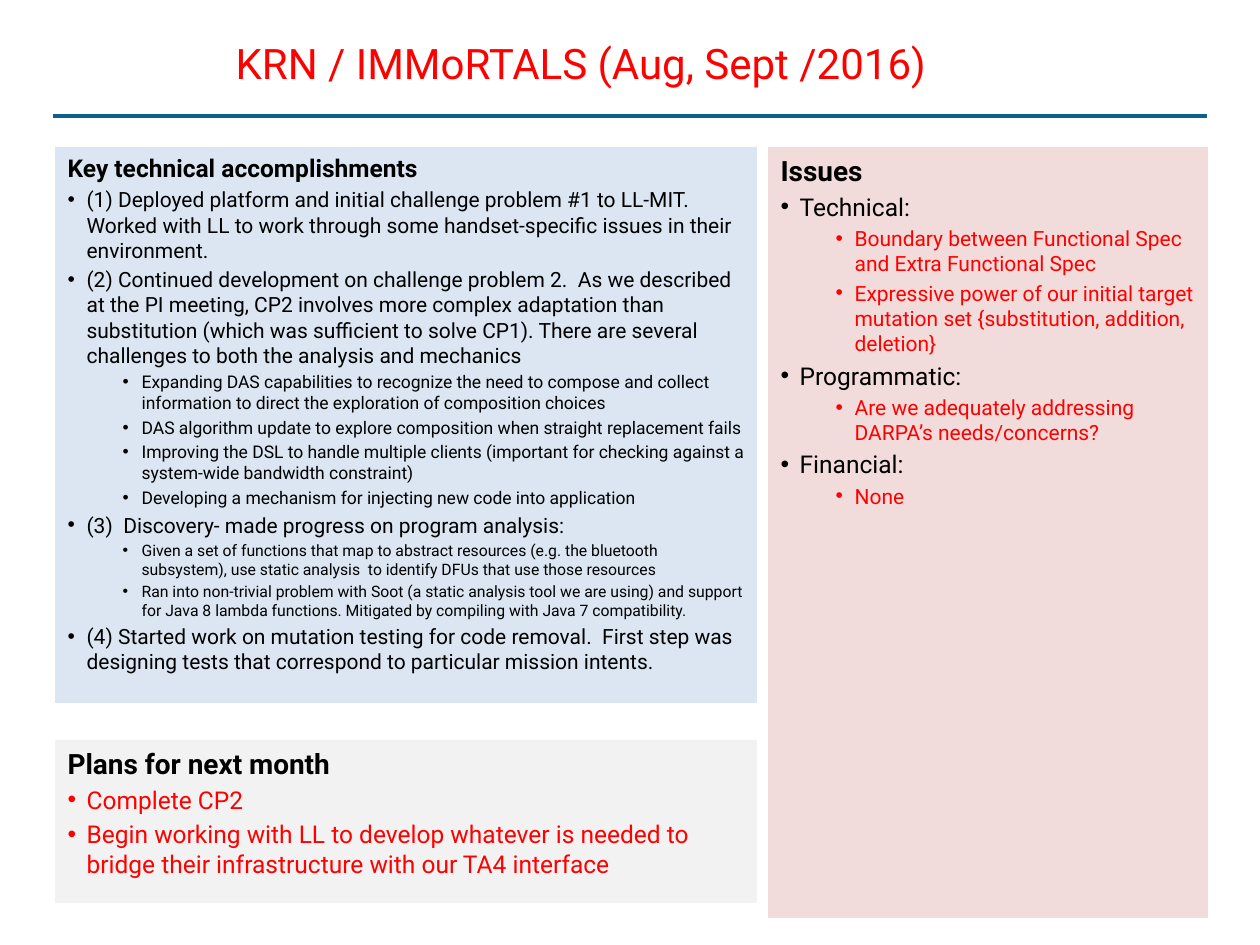
from lxml import etree
from pptx import Presentation
from pptx import util as u
from pptx.dml.color import RGBColor
from pptx.enum import shapes, text
from pptx.oxml.ns import qn

EMU_PER_PX = 914400 / 126
FONT = "Roboto"
COLOURS = {
    "rule": "0F5E90",
    "blue": "DCE6F2",
    "pink": "F2DCDB",
    "grey": "F2F2F2",
    "black": "000000",
    "red": "FF0000",
}
TEXT_INDENTS = [19, 74]  # left margin of each bullet level
HANGING = 19
LEFT, TOP, LEFT_WIDTH = 55, 147, 702

# Bullets are (level, point size, colour, wording).
ACCOMPLISHMENTS = [
    (0, 12, "black", "(1) Deployed platform and initial challenge problem #1 to LL-MIT.  "
     "Worked with LL to work through some handset-specific issues in their environment."),
    (0, 12, "black", "(2) Continued development on challenge problem 2.  As we described at the "
     "PI meeting, CP2 involves more complex adaptation than substitution (which was sufficient "
     "to solve CP1). There are several challenges to both the analysis and mechanics"),
    (1, 10, "black", "Expanding DAS capabilities to recognize the need to compose and collect "
     "information to direct the exploration of composition choices"),
    (1, 10, "black", "DAS algorithm update to explore composition when straight replacement fails"),
    (1, 10, "black", "Improving the DSL to handle multiple clients (important for checking against "
     "a system-wide bandwidth constraint)"),
    (1, 10, "black", "Developing a mechanism for injecting new code into application"),
    (0, 12, "black", "(3)  Discovery- made progress on program analysis:"),
    (1, 9, "black", "Given a set of functions that map to abstract resources (e.g. the bluetooth "
     "subsystem), use static analysis  to identify DFUs that use those resources"),
    (1, 9, "black", "Ran into non-trivial problem with Soot (a static analysis tool we are using) "
     "and support for Java 8 lambda functions. Mitigated by compiling with Java 7 compatibility."),
    (0, 12, "black", "(4) Started work on mutation testing for code removal.  First step was "
     "designing tests that correspond to particular mission intents."),
]
ISSUES = [
    (0, 14, "black", "Technical:"),
    (1, 12, "red", "Boundary between Functional Spec and Extra Functional Spec"),
    (1, 12, "red", "Expressive power of our initial target mutation set "
     "{substitution, addition, deletion}"),
    (0, 14, "black", "Programmatic:"),
    (1, 12, "red", "Are we adequately addressing DARPA’s needs/concerns?"),
    (0, 14, "black", "Financial:"),
    (1, 12, "red", "None"),
]
PLANS = [
    (0, 14, "red", "Complete CP2"),
    (0, 14, "red", "Begin working with LL to develop whatever is needed to bridge their "
     "infrastructure with our TA4 interface"),
]


def px(length):
    return u.Emu(round(length * EMU_PER_PX))


def colour(name):
    return RGBColor.from_string(COLOURS[name])


def place(box, left, top, width, height):
    box.left, box.top, box.width, box.height = map(px, (left, top, width, height))


def write(para, wording, size, ink, bold=False):
    para.text = wording
    para.alignment = text.PP_ALIGN.LEFT
    for span in para.runs:
        span.font.name = FONT
        span.font.size = u.Pt(size)
        span.font.bold = bold
        span.font.color.rgb = colour(ink)


def set_bullet(para, level=None):
    """Give the paragraph a hanging bullet, or none when level is None."""
    props = para._p.get_or_add_pPr()
    if level is None:
        props.set("marL", "0")
        props.set("indent", "0")
        etree.SubElement(props, qn("a:buNone"))
        return
    para.level = level
    props.set("marL", str(px(TEXT_INDENTS[level])))
    props.set("indent", str(px(-HANGING)))
    etree.SubElement(props, qn("a:buFont"), typeface="Arial")
    etree.SubElement(props, qn("a:buChar"), char="•")


def add_title(page, wording):
    title = page.shapes.title
    place(title, 223, 21, 984, 84)
    frame = title.text_frame
    frame.auto_size = text.MSO_AUTO_SIZE.NONE
    frame.vertical_anchor = text.MSO_ANCHOR.MIDDLE
    write(frame.paragraphs[0], wording, 24, "red")


def add_rule(page):
    rule = page.shapes.add_connector(
        shapes.MSO_CONNECTOR.STRAIGHT, px(53), px(116), px(1207), px(116))
    rule.line.color.rgb = colour("rule")
    rule.line.width = u.Pt(1.75)
    etree.SubElement(rule._element.spPr, qn("a:effectLst"))


def fill_panel(panel, bounds, fill, heading, heading_size, bullets):
    place(panel, *bounds)
    panel.fill.solid()
    panel.fill.fore_color.rgb = colour(fill)
    frame = panel.text_frame
    frame.word_wrap = True
    frame.auto_size = text.MSO_AUTO_SIZE.NONE
    frame.vertical_anchor = text.MSO_ANCHOR.TOP
    para = frame.paragraphs[0]
    para.space_before = u.Pt(0)
    set_bullet(para)
    write(para, heading, heading_size, "black", bold=True)
    for level, size, ink, wording in bullets:
        para = frame.add_paragraph()
        set_bullet(para, level)
        write(para, wording, size, ink)


def main():
    deck = Presentation()
    deck.slide_width, deck.slide_height = u.Inches(10), u.Inches(7.5)
    page = deck.slides.add_slide(deck.slide_layouts.get_by_name("Comparison"))
    _, first, second, spare, third = page.placeholders
    spare.element.getparent().remove(spare.element)

    add_rule(page)
    fill_panel(first, (LEFT, TOP, LEFT_WIDTH, 556), "blue",
               "Key technical accomplishments", 14, ACCOMPLISHMENTS)
    fill_panel(second, (768, TOP, 440, 771), "pink", "Issues", 16, ISSUES)
    fill_panel(third, (LEFT, 740, LEFT_WIDTH, 163), "grey",
               "Plans for next month", 16, PLANS)
    add_title(page, "KRN / IMMoRTALS (Aug, Sept /2016)")
    deck.save("out.pptx")


if __name__ == "__main__":
    main()
